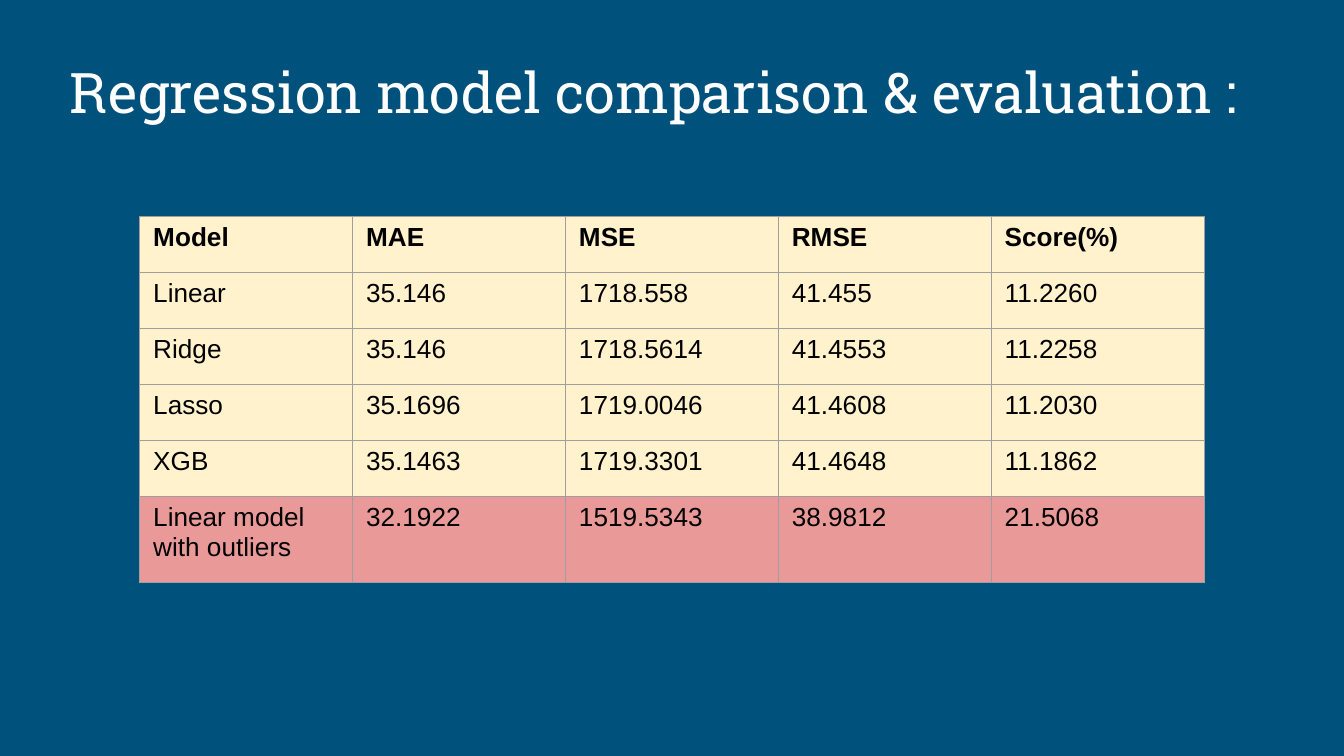
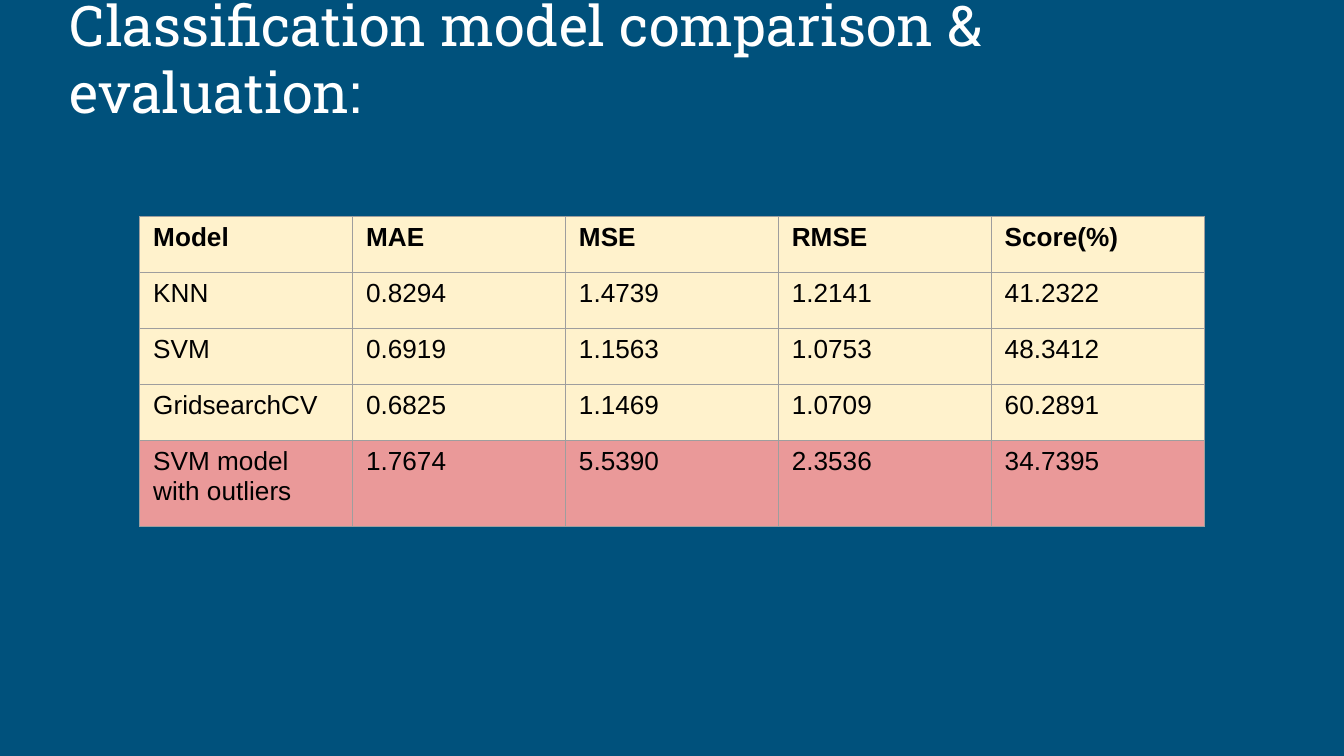
from lxml import etree
from pptx import Presentation
from pptx import util as u
from pptx.dml.color import RGBColor
from pptx.enum import text as t
from pptx.oxml.ns import qn

HUES = {"back": "00517C", "title": "FFFFFF", "ink": "000000",
        "cream": "FFF2CC", "rose": "EA9999", "rule": "9E9E9E"}
HEAD = ["Model", "MAE", "MSE", "RMSE", "Score(%)"]
PAGES = [
    ("Regression model comparison & evaluation :", [
        ["Linear", "35.146", "1718.558", "41.455", "11.2260"],
        ["Ridge", "35.146", "1718.5614", "41.4553", "11.2258"],
        ["Lasso", "35.1696", "1719.0046", "41.4608", "11.2030"],
        ["XGB", "35.1463", "1719.3301", "41.4648", "11.1862"],
        ["Linear model with outliers", "32.1922", "1519.5343", "38.9812", "21.5068"]]),
    ("Classification model comparison & evaluation:", [
        ["KNN", "0.8294", "1.4739", "1.2141", "41.2322"],
        ["SVM", "0.6919", "1.1563", "1.0753", "48.3412"],
        ["GridsearchCV", "0.6825", "1.1469", "1.0709", "60.2891"],
        ["SVM model with outliers", "1.7674", "5.5390", "2.3536", "34.7395"]]),
]


def color(name):
    return RGBColor.from_string(HUES[name])


def write(frame, words, font="Arial", size=14, hue="ink", bold=False):
    para = frame.paragraphs[0]
    para.alignment = t.PP_ALIGN.LEFT
    run = para.add_run()
    run.text = words
    run.font.name = font
    run.font.size = u.Pt(size)
    run.font.bold = bold
    run.font.color.rgb = color(hue)


def paint(obj, hue):
    obj.fill.solid()
    obj.fill.fore_color.rgb = color(hue)


def edge(cell):
    props = cell._tc.get_or_add_tcPr()
    for spot, side in enumerate(("lnL", "lnR", "lnT", "lnB")):
        line = etree.Element(qn(f"a:{side}"), w=str(u.Pt(0.75)))
        fill = etree.SubElement(line, qn("a:solidFill"))
        etree.SubElement(fill, qn("a:srgbClr"), val=HUES["rule"])
        props.insert(spot, line)


class Deck:
    def __init__(self):
        self.prs = Presentation()
        self.prs.slide_width = u.Inches(10)
        self.prs.slide_height = u.Inches(10 * 9 / 16)
        self.slide = None

    def page(self):
        self.slide = self.prs.slides.add_slide(self.prs.slide_layouts[5])
        paint(self.slide.background, "back")

    def title(self, words):
        box = self.slide.shapes.title
        box.left, box.top = u.Inches(0.42), u.Inches(0.28)
        box.width, box.height = u.Inches(9.15), u.Inches(0.75)
        frame = box.text_frame
        frame.word_wrap = True
        frame.auto_size = t.MSO_AUTO_SIZE.NONE
        frame.vertical_anchor = t.MSO_ANCHOR.BOTTOM
        frame.margin_left = frame.margin_right = u.Inches(0.1)
        frame.margin_top = frame.margin_bottom = u.Inches(0.1)
        write(frame, words, font="Roboto Slab", size=30, hue="title")

    def table(self, rows):
        last = len(rows) - 1
        tall = [5 / 12] * last + [0.64]
        grid = self.slide.shapes.add_table(
            len(rows), len(HEAD), u.Inches(1.04), u.Inches(1.61),
            u.Inches(7.92), u.Inches(sum(tall))).table
        grid.horz_banding = False
        for row, high in zip(grid.rows, tall):
            row.height = u.Inches(high)
        for r, row in enumerate(rows):
            for c, words in enumerate(row):
                cell = grid.cell(r, c)
                cell.margin_left = cell.margin_right = u.Inches(0.1)
                cell.margin_top = cell.margin_bottom = u.Inches(0.05)
                paint(cell, "rose" if r == last else "cream")
                edge(cell)
                write(cell.text_frame, words, bold=r == 0)


def main():
    deck = Deck()
    for title, rows in PAGES:
        deck.page()
        deck.title(title)
        deck.table([HEAD] + rows)
    deck.prs.save("out.pptx")


if __name__ == "__main__":
    main()
